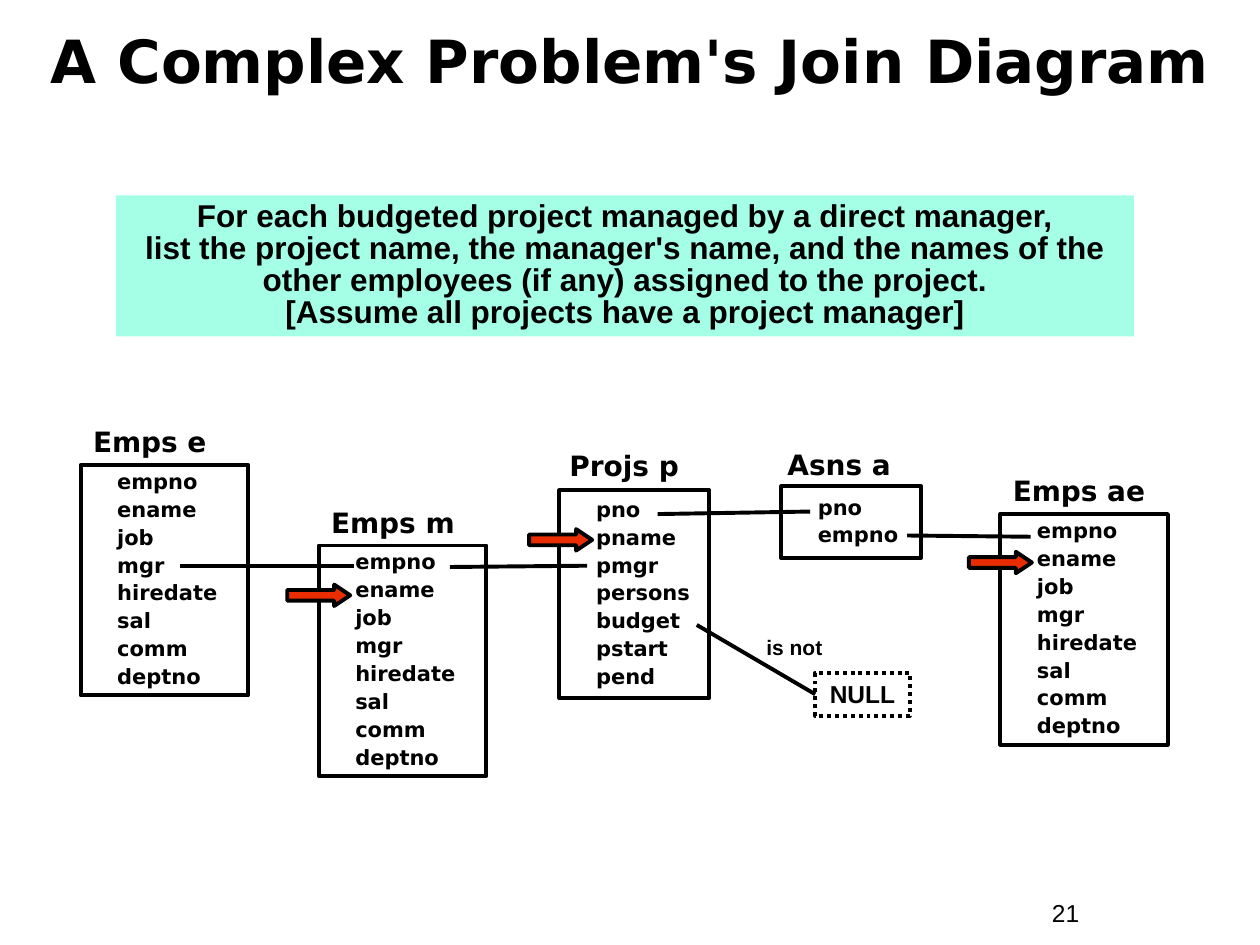
from lxml.etree import SubElement
from pptx import Presentation
from pptx.dml.color import RGBColor
from pptx.enum.dml import MSO_LINE
from pptx.enum.shapes import MSO_CONNECTOR, MSO_SHAPE
from pptx.enum.text import MSO_ANCHOR, MSO_AUTO_SIZE, PP_ALIGN
from pptx.oxml.ns import qn
from pptx.util import Inches, Pt

BLACK, RED, MINT = "000000", "EA2D00", "A5FFE7"
HEADING_FONT, BODY_FONT = "DejaVu Sans", "Arial"
EMPLOYEE_FIELDS = ["empno", "ename", "job", "mgr",
                   "hiredate", "sal", "comm", "deptno"]

# heading, heading box (left, top), heading indent, table box, fields
TABLES = [
    ("Emps e", (0.64, 3.35), 0, (0.64, 3.69, 1.33, 1.83), EMPLOYEE_FIELDS),
    ("Emps m", (2.53, 3.99), 0, (2.53, 4.33, 1.33, 1.83), EMPLOYEE_FIELDS),
    ("Projs p", (4.27, 3.54), 0.15, (4.44, 3.89, 1.19, 1.65),
     ["pno", "pname", "pmgr", "persons", "budget", "pstart", "pend"]),
    ("Asns a", (6, 3.53), 0.15, (6.2, 3.86, 1.11, 0.57), ["pno", "empno"]),
    ("Emps ae", (7.94, 3.74), 0, (7.94, 4.08, 1.33, 1.83), EMPLOYEE_FIELDS),
]
JOINS = [
    ((1.43, 4.49), (2.81, 4.49)),  # e.mgr to m.empno
    ((3.57, 4.5), (4.66, 4.49)),   # m.empno to p.pmgr
    ((5.22, 4.08), (6.43, 4.06)),  # p.pno to a.pno
    ((7.2, 4.25), (8.18, 4.26)),   # a.empno to ae.empno
]
OUTPUT_ARROWS = [(2.28, 4.64), (4.2, 4.2), (7.69, 4.38)]


def color(value):
    return RGBColor.from_string(value)


def inches(values):
    return [Inches(value) for value in values]


def write(shape, text, size, font=BODY_FONT, bold=True, align=PP_ALIGN.LEFT,
          anchor=MSO_ANCHOR.TOP, spacing=1.0, before=0, indent=0):
    """Fill a shape with one string, or a list with one string a paragraph."""
    frame = shape.text_frame
    frame.word_wrap = True
    frame.auto_size = MSO_AUTO_SIZE.NONE
    frame.vertical_anchor = anchor
    frame.margin_left = Inches(0.1 + indent)
    frame.margin_right = Inches(0.1)
    frame.margin_top = frame.margin_bottom = Inches(0.05)
    for index, line in enumerate([text] if isinstance(text, str) else text):
        paragraph = frame.add_paragraph() if index else frame.paragraphs[0]
        paragraph.text = line
        paragraph.alignment = align
        paragraph.line_spacing = spacing
        paragraph.space_before = Pt(before)
        for run in paragraph.runs:
            run.font.name = font
            run.font.size = Pt(size)
            run.font.bold = bold
            run.font.color.rgb = color(BLACK)


def add_text(slide, box, text, size, **format_options):
    write(slide.shapes.add_textbox(*inches(box)), text, size, **format_options)


def add_block(slide, box, kind=MSO_SHAPE.RECTANGLE, fill=None, line=BLACK):
    shape = slide.shapes.add_shape(kind, *inches(box))
    shape.shadow.inherit = False
    if fill:
        shape.fill.solid()
        shape.fill.fore_color.rgb = color(fill)
    else:
        shape.fill.background()
    if line:
        shape.line.color.rgb = color(line)
        shape.line.width = Pt(2.25)
    else:
        shape.line.fill.background()
    return shape


def add_join(slide, start, end):
    connector = slide.shapes.add_connector(
        MSO_CONNECTOR.STRAIGHT, *inches(start + end))
    connector.line.color.rgb = color(BLACK)
    connector.line.width = Pt(2.25)
    SubElement(connector._element.spPr, qn("a:effectLst"))
    return connector


def add_title(slide, box, text):
    title = slide.shapes.title
    title.left, title.top, title.width, title.height = inches(box)
    write(title, text, 34, font=HEADING_FONT, align=PP_ALIGN.CENTER,
          anchor=MSO_ANCHOR.MIDDLE, spacing=0.85)


def add_problem(slide, box):
    problem = add_block(slide, box, fill=MINT, line=None)
    write(problem,
          "For each budgeted project managed by a direct manager,\n"
          "list the project name, the manager's name, and the names of the "
          "other employees (if any) assigned to the project.\n"
          "[Assume all projects have a project manager]",
          18, align=PP_ALIGN.CENTER, spacing=0.85, before=11.2)


def add_table_box(slide, heading, heading_at, heading_indent, box, fields):
    add_text(slide, heading_at + (1.36, 0.34), heading, 16, font=HEADING_FONT,
             spacing=0.9, before=4, indent=heading_indent)
    write(add_block(slide, box), fields, 12, font=HEADING_FONT,
          anchor=MSO_ANCHOR.MIDDLE, spacing=0.9, before=3, indent=0.19)


def add_null_test(slide, box, start):
    """Dotted NULL box, joined to the field that is tested."""
    left, top, width, height = box
    null_box = add_block(slide, box)
    null_box.line.dash_style = MSO_LINE.ROUND_DOT
    write(null_box, "NULL", 14, align=PP_ALIGN.CENTER, before=8.8)
    connector = add_join(slide, start, (left, top + height / 2))
    connector.end_connect(null_box, 1)
    add_text(slide, (left - 0.58, top - 0.32, 0.83, 0.27), "is not", 12,
             align=PP_ALIGN.CENTER, spacing=0.85, before=7.5)


def add_output_arrow(slide, left, top):
    arrow = add_block(slide, (left, top, 0.5, 0.17),
                      kind=MSO_SHAPE.RIGHT_ARROW, fill=RED)
    arrow.adjustments[0] = 0.5
    arrow.adjustments[1] = 0.75


def main():
    presentation = Presentation()
    presentation.slide_width, presentation.slide_height = inches((10, 7.5))
    slide = presentation.slides.add_slide(presentation.slide_layouts[5])

    # Title and problem statement
    add_title(slide, (0.25, 0.14, 9.5, 0.75),
              "A Complex Problem's Join Diagram")
    add_problem(slide, (0.92, 1.55, 8.08, 1.12))

    # Join diagram
    for table in TABLES:
        add_table_box(slide, *table)
    for start, end in JOINS:
        add_join(slide, start, end)
    add_null_test(slide, (6.47, 5.34, 0.75, 0.34), start=(5.53, 4.96))
    for left, top in OUTPUT_ARROWS:
        add_output_arrow(slide, left, top)

    # Slide number
    add_text(slide, (8.25, 7.08, 0.92, 0.34), "21", 14, bold=False, before=8.8)

    presentation.save("out.pptx")


if __name__ == "__main__":
    main()
